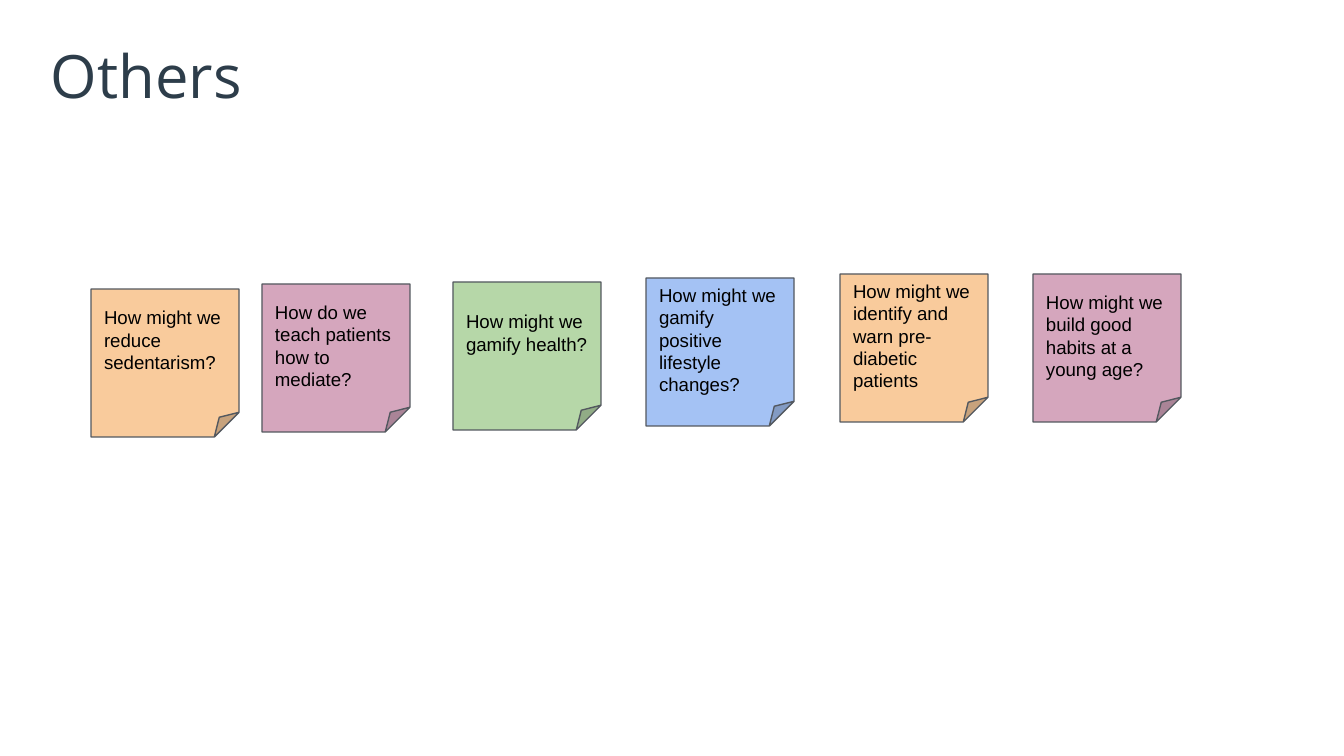
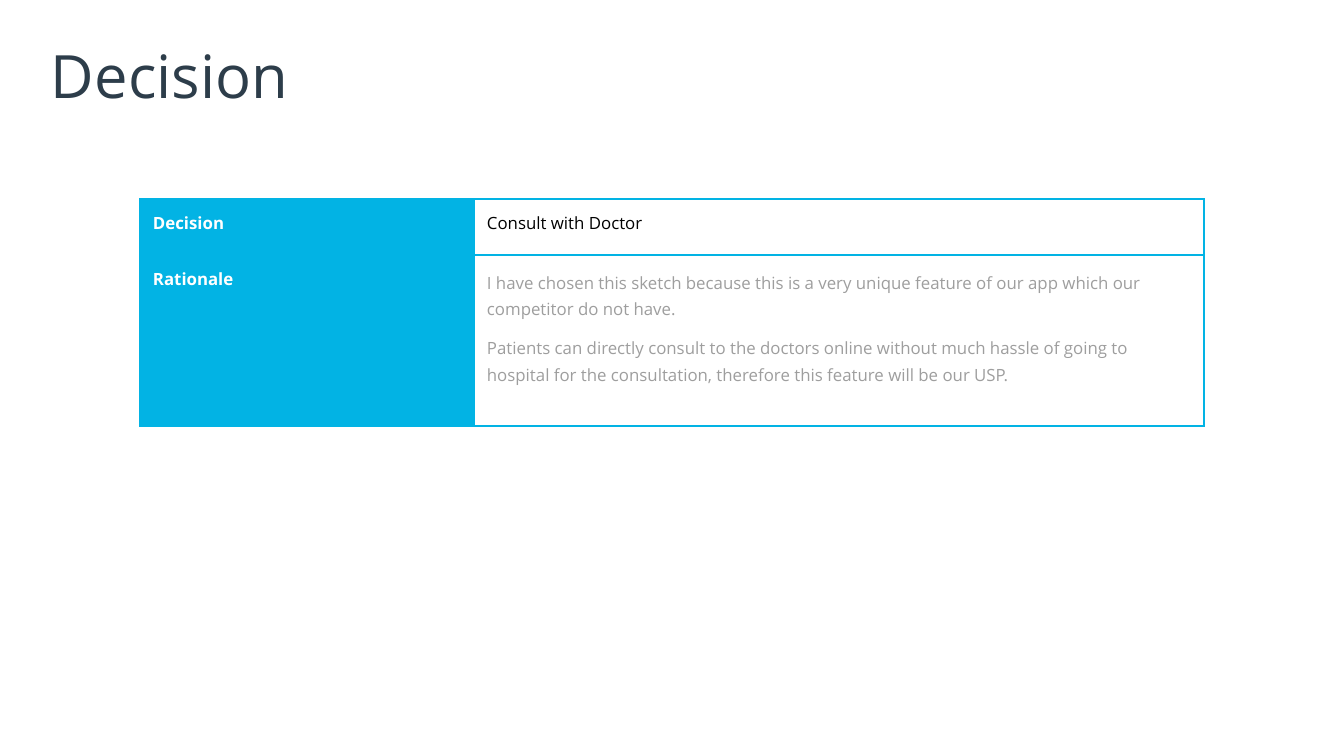
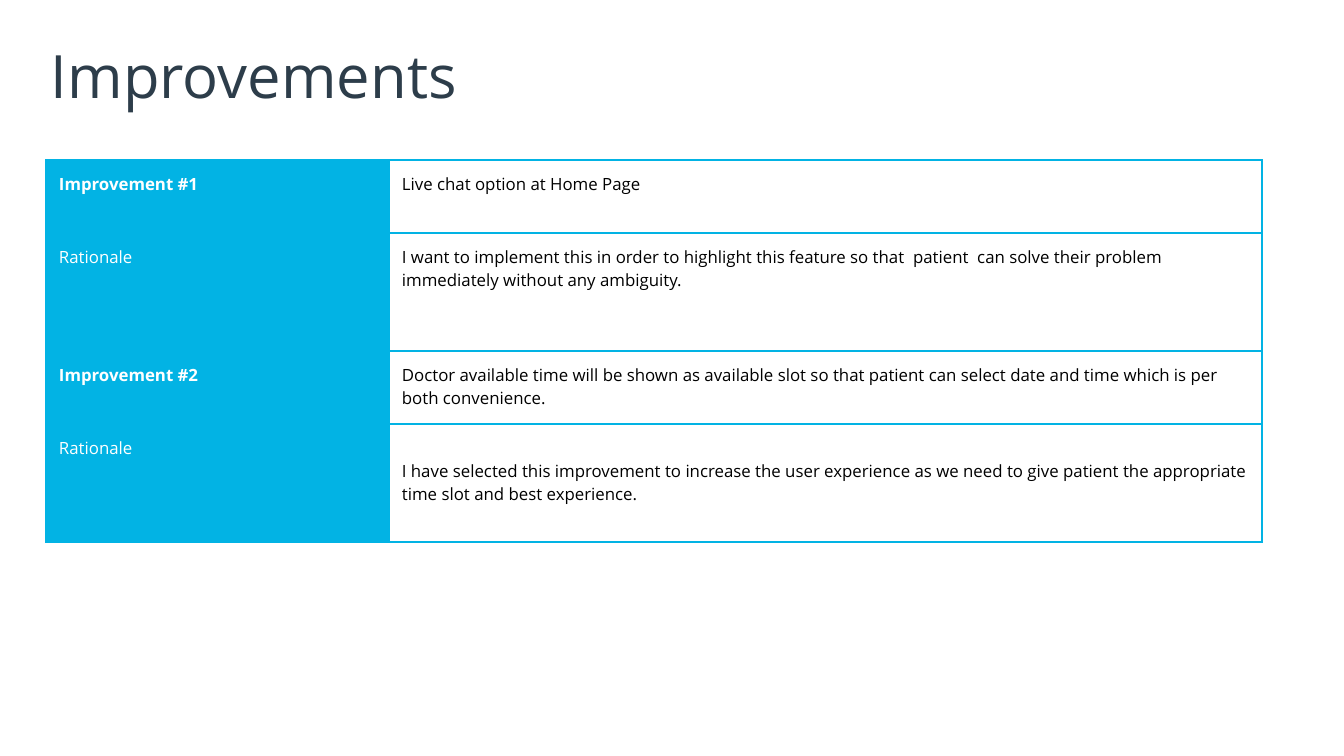
"""Build the workshop slides: sticky notes, decision table and improvements table."""
from lxml import etree
from pptx import Presentation
from pptx import util as u
from pptx.dml.color import RGBColor
from pptx.enum import shapes, text
from pptx.oxml.ns import qn

EMU_PER_PX = 914400 / 134.4
PAD = 13
LINE = 22
NOTE = 148
COLORS = {
    "title": "2D3D4A", "cyan": "02B3E4", "white": "FFFFFF", "black": "000000",
    "gray": "9E9E9E", "outline": "53585F", "pink": "D5A6BD", "orange": "F9CB9C",
    "green": "B6D7A8", "blue": "A4C2F4",
}
TITLE = {"name": "Open Sans", "size": u.Pt(32), "bold": False}
NOTE_FONT = {"name": "Arial", "size": u.Pt(10), "bold": False}
LABEL = {"name": "Open Sans", "size": u.Pt(9), "bold": True}
BODY = {**LABEL, "bold": False}
SPACED = {"line_spacing": 1.15, "space_before": u.Pt(7)}
LEFT = {"alignment": text.PP_ALIGN.LEFT}

NOTES = [
    (91, 289, "orange", "How might we reduce sedentarism?", LINE),
    (262, 284, "pink", "How do we teach patients how to mediate?", 0),
    (453, 282, "green", "How might we gamify health?", LINE),
    (646, 278, "blue", "How might we gamify positive lifestyle changes?", 0),
    (840, 274, "orange", "How might we identify and warn pre-diabetic patients", 0),
    (1033, 274, "pink", "How might we build good habits at a young age?", 0),
]
DECISION = [
    (56, "Decision", LABEL, ["Consult with Doctor"], {}),
    (171, "Rationale", LABEL, [
        "I have chosen this sketch because this is a very unique feature of our app "
        "which our competitor do not have.",
        "Patients can directly consult to the doctors online without much hassle of "
        "going to hospital for the consultation, therefore this feature will be our USP.",
    ], {"color": "gray", "para": SPACED}),
]
IMPROVEMENTS = [
    (73, "Improvement #1", LABEL, ["Live chat option at Home Page"], {}),
    (118, "Rationale", BODY, [
        "I want to implement this in order to highlight this feature so that  patient  "
        "can solve their problem immediately without any ambiguity.",
    ], {}),
    (73, "Improvement #2", LABEL, [
        "Doctor available time will be shown as available slot so that patient can "
        "select date and time which is per both convenience.",
    ], {}),
    (118, "Rationale", BODY, [
        "I have selected this improvement to increase the user experience as we need "
        "to give patient the appropriate time slot and best experience.",
    ], {"top": PAD + 23}),
]


def px(n):
    """Turn pixels into EMU."""
    return u.Emu(round(n * EMU_PER_PX))


def rgb(name):
    """Look up a named colour."""
    return RGBColor.from_string(COLORS[name])


def apply(target, values):
    """Set each attribute in values on target."""
    for key, value in values.items():
        setattr(target, key, value)


def margins(left, top, right, bottom):
    """Return the four inner margins as attributes."""
    sides = zip(("left", "top", "right", "bottom"), (left, top, right, bottom))
    return {f"margin_{side}": px(n) for side, n in sides}


def write(tf, lines, font, color, para=LEFT):
    """Fill a text frame with one formatted paragraph per line."""
    for i, line in enumerate(lines):
        p = tf.add_paragraph() if i else tf.paragraphs[0]
        apply(p, para)
        r = p.add_run()
        r.text = line
        apply(r.font, font)
        r.font.color.rgb = rgb(color)


def add_slide(prs, title):
    """Add a title-only slide with its title placed and styled."""
    s = prs.slides.add_slide(prs.slide_layouts[5])
    sp = s.shapes.title
    apply(sp, {"left": px(46), "top": px(32), "width": px(1253), "height": px(85)})
    tf = sp.text_frame
    apply(tf, {"word_wrap": True, "auto_size": text.MSO_AUTO_SIZE.NONE,
               "vertical_anchor": text.MSO_ANCHOR.MIDDLE, **margins(5, 5, 5, 5)})
    write(tf, [title], TITLE, "title")
    return s


def add_note(s, x, y, color, words, lift):
    """Add a sticky note, with lift as extra space under its text."""
    sp = s.shapes.add_shape(shapes.MSO_SHAPE.FOLDED_CORNER, px(x), px(y), px(NOTE), px(NOTE))
    sp.shadow.inherit = False
    sp.fill.solid()
    sp.fill.fore_color.rgb = rgb(color)
    sp.line.color.rgb = rgb("outline")
    sp.line.width = u.Pt(0.75)
    tf = sp.text_frame
    apply(tf, {"word_wrap": True, "vertical_anchor": text.MSO_ANCHOR.MIDDLE,
               **margins(PAD, PAD, PAD, PAD + lift)})
    write(tf, [words], NOTE_FONT, "black")


def add_borders(cell):
    """Draw thin cyan lines on all four sides of a cell."""
    tc_pr = cell._tc.get_or_add_tcPr()
    for side in "LRTB":
        ln = etree.SubElement(tc_pr, qn(f"a:ln{side}"), w=str(u.Pt(0.75)))
        fill = etree.SubElement(ln, qn("a:solidFill"))
        etree.SubElement(fill, qn("a:srgbClr"), val=COLORS["cyan"])


def fill_cell(cell, lines, font, color, back=None, top=PAD, para=LEFT):
    """Write and format one table cell."""
    add_borders(cell)
    if back:
        cell.fill.solid()
        cell.fill.fore_color.rgb = rgb(back)
    else:
        cell.fill.background()
    apply(cell, {"vertical_anchor": text.MSO_ANCHOR.TOP, **margins(PAD, top, PAD, PAD)})
    write(cell.text_frame, lines, font, color, para)


def add_label_table(s, x, y, widths, rows):
    """Add a table with cyan labels on the left and text on the right."""
    height = sum(row[0] for row in rows)
    frame = s.shapes.add_table(len(rows), 2, px(x), px(y), px(sum(widths)), px(height))
    table = frame.table
    apply(table, {"first_row": False, "horz_banding": False})
    for column, width in zip(table.columns, widths):
        column.width = px(width)
    for i, (row_height, label, font, lines, style) in enumerate(rows):
        table.rows[i].height = px(row_height)
        fill_cell(table.cell(i, 0), [label], font, "white", "cyan")
        fill_cell(table.cell(i, 1), lines, BODY, **{"color": "black", **style})


def main():
    """Build and save the presentation."""
    prs = Presentation()
    apply(prs, {"slide_width": px(1344), "slide_height": px(756)})
    s = add_slide(prs, "Others")
    for note in NOTES:
        add_note(s, *note)
    add_label_table(add_slide(prs, "Decision"), 140, 199, (334, 730), DECISION)
    add_label_table(add_slide(prs, "Improvements"), 46, 160, (343, 873), IMPROVEMENTS)
    prs.save("out.pptx")


if __name__ == "__main__":
    main()
